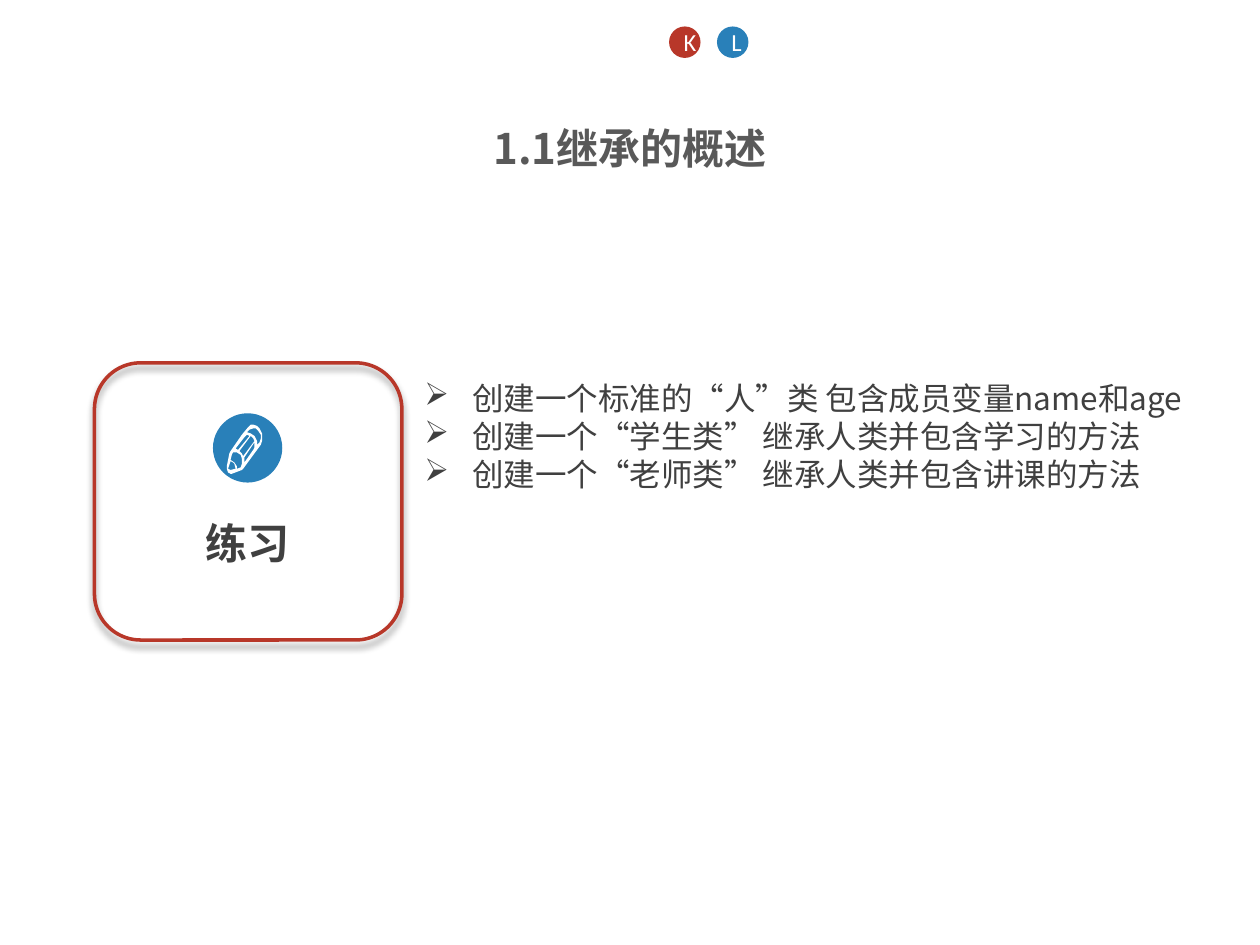
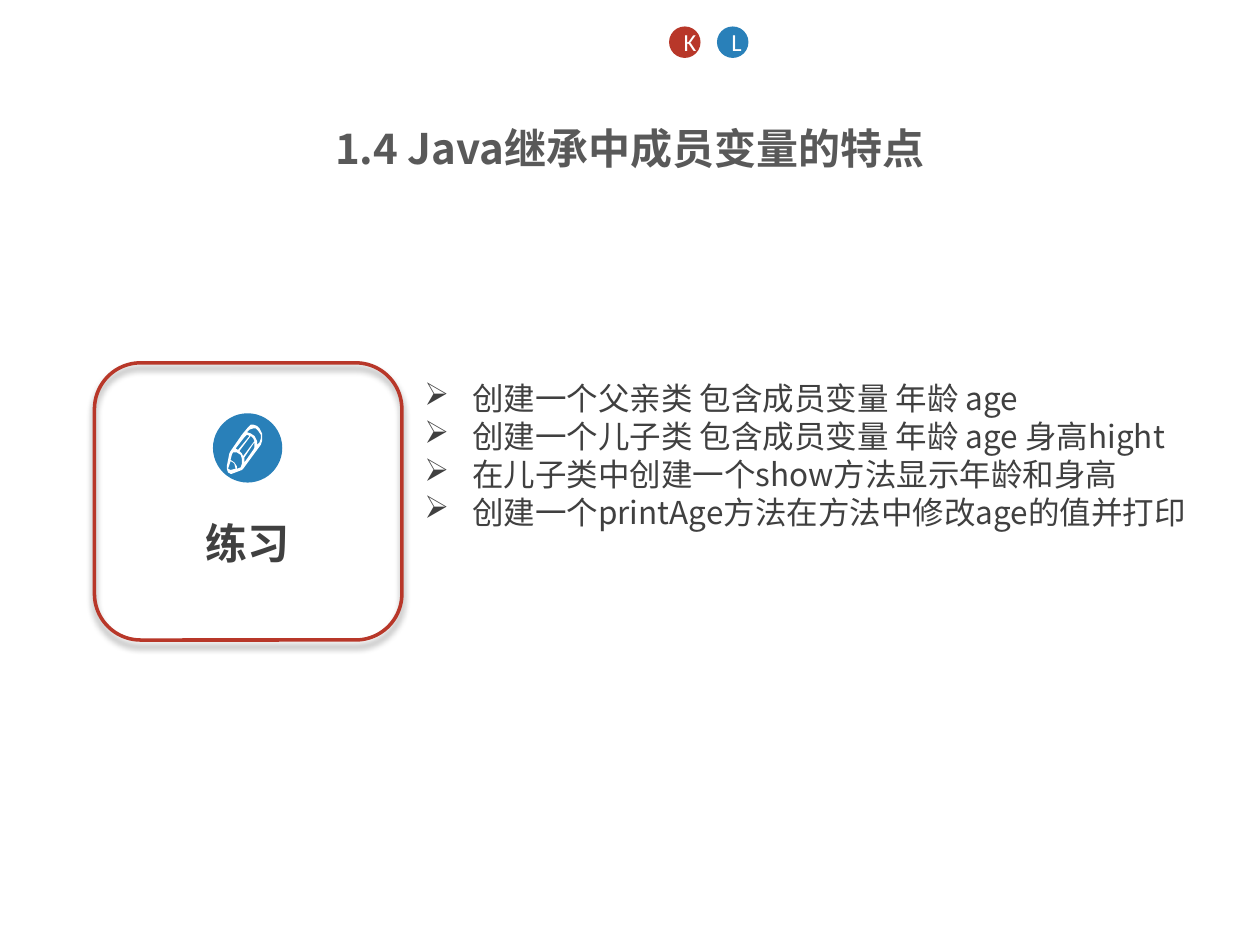
from lxml import etree
from pptx import Presentation
from pptx.dml.color import RGBColor
from pptx.enum.shapes import MSO_SHAPE
from pptx.enum.text import MSO_ANCHOR, PP_ALIGN
from pptx.oxml import parse_xml
from pptx.oxml.ns import nsdecls, qn
from pptx.util import Inches, Pt

OVAL = MSO_SHAPE.OVAL
ROUNDED = MSO_SHAPE.ROUNDED_RECTANGLE
MIDDLE = MSO_ANCHOR.MIDDLE
CENTER = PP_ALIGN.CENTER
LEFT = PP_ALIGN.LEFT

RED = RGBColor(0xB8, 0x37, 0x29)
BLUE = RGBColor(0x29, 0x80, 0xB9)
TITLE_GRAY = RGBColor(0x59, 0x59, 0x59)
TEXT_GRAY = RGBColor(0x40, 0x40, 0x40)
WHITE = RGBColor(0xFF, 0xFF, 0xFF)
CJK_FONT = "Noto Sans CJK SC"
LATIN_FONT = "Calibri"

# Pencil contours in hundredths of an inch: the outline, then its openings.
PENCIL = [
    [(206, 340), (204, 338), (201, 337), (199, 337), (197, 339), (192, 345),
     (183, 358), (182, 360), (180, 370), (180, 372), (181, 375), (183, 376),
     (184, 376), (192, 373), (193, 372), (207, 353), (208, 350), (208, 344)],
    [(206, 351), (204, 353), (204, 350), (202, 346), (199, 344), (196, 343),
     (198, 341), (201, 340), (203, 340), (205, 342), (207, 345), (207, 348)],
    [(188, 372), (188, 370), (186, 367), (183, 365), (184, 361), (185, 359),
     (188, 359), (191, 361), (192, 364), (192, 368), (191, 371)],
    [(183, 373), (181, 372), (183, 366), (185, 367), (186, 368), (187, 372)],
    [(189, 357), (187, 356), (194, 347), (196, 345), (198, 346)],
    [(193, 362), (192, 360), (190, 358), (199, 346), (201, 348), (202, 350)],
    [(194, 366), (194, 363), (202, 351), (202, 355), (201, 357), (194, 367)],
]

SLIDES = [
    ("1.1继承的概述", 1.31, [
        "创建一个标准的“人”类 包含成员变量name和age",
        "创建一个“学生类” 继承人类并包含学习的方法",
        "创建一个“老师类” 继承人类并包含讲课的方法",
    ]),
    ("1.4 Java继承中成员变量的特点", 1.92, [
        "创建一个父亲类 包含成员变量 年龄 age",
        "创建一个儿子类 包含成员变量 年龄 age 身高hight",
        "在儿子类中创建一个show方法显示年龄和身高",
        "创建一个printAge方法在方法中修改age的值并打印",
    ]),
]


def add_run(paragraph, text, size, color, font=CJK_FONT, bold=False):
    run = paragraph.add_run()
    run.text = text
    run.font.size = Pt(size)
    run.font.bold = bold
    run.font.color.rgb = color
    run.font.name = font
    east_asian = etree.SubElement(run.font._element, qn("a:ea"))
    east_asian.set("typeface", font)


def add_text_frame(shapes, left, top, width, height):
    frame = shapes.add_textbox(*map(Inches, (left, top, width, height))).text_frame
    frame.word_wrap = True
    return frame


def add_circle(shapes, left, top, diameter, color):
    circle = shapes.add_shape(OVAL, *map(Inches, (left, top, diameter, diameter)))
    circle.shadow.inherit = False
    circle.fill.solid()
    circle.fill.fore_color.rgb = color
    circle.line.fill.background()
    return circle


def add_badge(slide, left, letter, color):
    frame = add_circle(slide.shapes, left, 0.21, 0.25, color).text_frame
    frame.vertical_anchor = MIDDLE
    paragraph = frame.paragraphs[0]
    paragraph.alignment = CENTER
    add_run(paragraph, letter, 14, WHITE, LATIN_FONT)


def add_title(slide, title):
    paragraph = add_text_frame(slide.shapes, 0, 0.92, 10, 0.47).paragraphs[0]
    paragraph.alignment = CENTER
    add_run(paragraph, title, 24, TITLE_GRAY, bold=True)


def add_pencil(shapes):
    outline, *openings = PENCIL
    builder = shapes.build_freeform(*outline[0], scale=Inches(0.01))
    builder.add_line_segments(outline[1:], close=True)
    for opening in openings:
        builder.move_to(*opening[0])
        builder.add_line_segments(opening[1:], close=True)
    pencil = builder.convert_to_shape()
    pencil.shadow.inherit = False
    pencil.fill.solid()
    pencil.fill.fore_color.rgb = WHITE
    pencil.line.fill.background()


def add_frame(shapes):
    """Red rounded outline with a soft shadow below it."""
    frame = shapes.add_shape(ROUNDED, *map(Inches, (0.75, 2.88, 2.44, 2.2)))
    frame.fill.background()
    frame.line.color.rgb = RED
    frame.line.width = Pt(2)
    frame.shadow.inherit = False
    effects = frame._element.spPr.find(qn("a:effectLst"))
    effects.append(parse_xml(
        f'<a:outerShdw {nsdecls("a")} blurRad="{Pt(4)}" dist="{Pt(3)}" '
        'dir="5400000" rotWithShape="0"><a:srgbClr val="000000">'
        '<a:alpha val="40000"/></a:srgbClr></a:outerShdw>'))


def add_exercise_card(slide):
    shapes = slide.shapes.add_group_shape().shapes
    label = add_text_frame(shapes, 1.53, 4.1, 0.87, 0.45)
    label.margin_right = 0
    paragraph = label.paragraphs[0]
    paragraph.line_spacing = 0.9
    paragraph.space_before = paragraph.space_after = Pt(4.8)
    add_run(paragraph, "练习", 24, TEXT_GRAY, bold=True)
    add_circle(shapes, 1.69, 3.28, 0.55, BLUE)
    add_pencil(shapes)
    add_frame(shapes)


def add_tasks(slide, height, tasks):
    frame = add_text_frame(slide.shapes, 3.27, 2.96, 6.37, height)
    for index, task in enumerate(tasks):
        paragraph = frame.add_paragraph() if index else frame.paragraphs[0]
        paragraph.alignment = LEFT
        properties = paragraph._p.get_or_add_pPr()
        properties.set("marL", str(Inches(0.38)))
        properties.set("indent", str(-Inches(0.38)))
        etree.SubElement(properties, qn("a:buChar")).set("char", "➢")
        add_run(paragraph, task, 18, TEXT_GRAY)


def main():
    deck = Presentation()
    deck.slide_width = Inches(10)
    deck.slide_height = Inches(7.5)
    blank = deck.slide_layouts[6]
    for title, tasks_height, tasks in SLIDES:
        slide = deck.slides.add_slide(blank)
        add_tasks(slide, tasks_height, tasks)
        add_title(slide, title)
        add_badge(slide, 5.31, "K", RED)
        add_exercise_card(slide)
        add_badge(slide, 5.69, "L", BLUE)
    deck.save("out.pptx")


if __name__ == "__main__":
    main()
